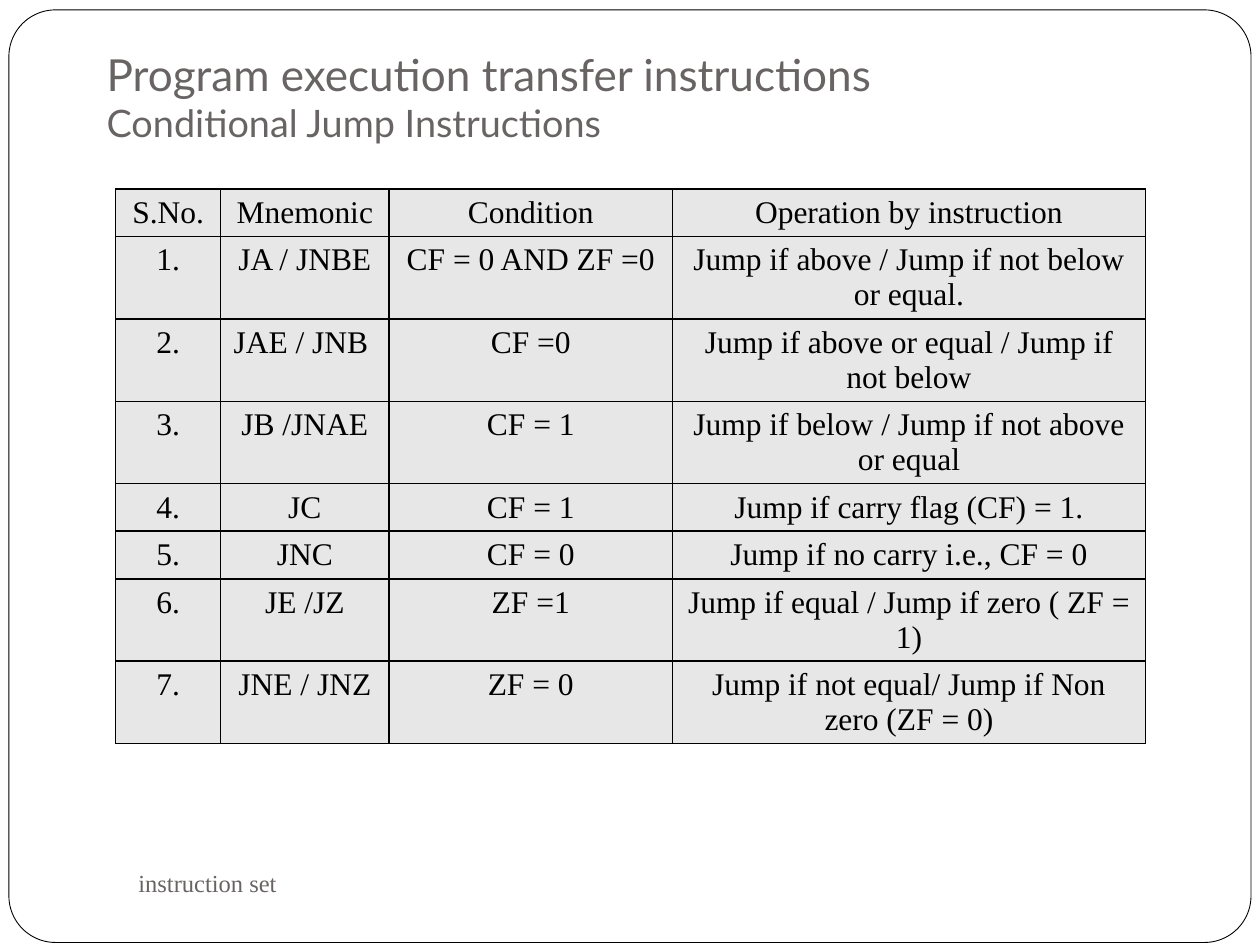
import dataclasses

import lxml.etree
import pptx
import pptx.dml.color
import pptx.enum.shapes
import pptx.enum.text
import pptx.oxml.ns
import pptx.util

Cm = pptx.util.Cm
Pt = pptx.util.Pt
Anchor = pptx.enum.text.MSO_ANCHOR
Align = pptx.enum.text.PP_ALIGN


@dataclasses.dataclass(frozen=True)
class Theme:
    """Hold the colours, fonts and type sizes of the slide."""

    paper: str = "FFFFFF"
    ink: str = "000000"
    muted: str = "696464"
    cell: str = "E7E7E7"
    heading_font: str = "Lato"
    body_font: str = "Times New Roman"
    title_size: float = 25.2
    subtitle_size: float = 21.6
    table_size: float = 18
    footer_size: float = 14


THEME = Theme()
COLUMN_WIDTHS = (2.12, 3.39, 5.72, 9.53)
ONE_LINE, TWO_LINES = 0.95, 1.66
JUMPS = (
    (ONE_LINE, "S.No.", "Mnemonic", "Condition", "Operation by instruction"),
    (TWO_LINES, "1.", "JA / JNBE", "CF = 0 AND ZF =0", "Jump if above / Jump if not below or equal."),
    (TWO_LINES, "2.", "JAE / JNB ", "CF =0", "Jump if above or equal / Jump if not below"),
    (TWO_LINES, "3.", "JB /JNAE", "CF = 1", "Jump if below / Jump if not above or equal"),
    (ONE_LINE, "4.", "JC", "CF = 1", "Jump if carry flag (CF) = 1."),
    (ONE_LINE, "5.", "JNC", "CF = 0", "Jump if no carry i.e., CF = 0"),
    (TWO_LINES, "6.", "JE /JZ", "ZF =1", "Jump if equal / Jump if zero ( ZF = 1)"),
    (TWO_LINES, "7.", "JNE / JNZ", "ZF = 0", "Jump if not equal/ Jump if Non zero (ZF = 0)"),
)


def rgb(value):
    """Turn a hex string into a colour."""
    return pptx.dml.color.RGBColor.from_string(value)


def apply(target, values):
    """Set every attribute given in a dict of format values."""
    for name, value in values.items():
        setattr(target, name, value)


def add_run(paragraph, text, font, size, colour):
    """Append a formatted run to a paragraph."""
    run = paragraph.add_run()
    run.text = text
    apply(run.font, {"name": font, "size": Pt(size)})
    run.font.color.rgb = rgb(colour)


def fill_title(title):
    """Place the title placeholder and write its two lines."""
    apply(title, {"left": Cm(1.9), "top": Cm(1.06), "width": Cm(21.6), "height": Cm(2.12)})
    apply(title.text_frame, {
        "vertical_anchor": Anchor.BOTTOM,
        "word_wrap": True,
        "auto_size": pptx.enum.text.MSO_AUTO_SIZE.NONE,
        "margin_left": Cm(0.25),
        "margin_right": Cm(0.25),
        "margin_top": Cm(0.13),
        "margin_bottom": Cm(0.25),
    })
    heading = title.text_frame.paragraphs[0]
    heading.alignment = Align.LEFT
    add_run(heading, "Program execution transfer instructions",
            THEME.heading_font, THEME.title_size, THEME.muted)
    heading.add_line_break()
    add_run(heading, "Conditional Jump Instructions",
            THEME.heading_font, THEME.subtitle_size, THEME.muted)


def add_frame(slide):
    """Draw the rounded page frame behind the title."""
    frame = slide.shapes.add_shape(
        pptx.enum.shapes.MSO_SHAPE.ROUNDED_RECTANGLE, Cm(0.18), Cm(0.2), Cm(25.04), Cm(18.8))
    frame.adjustments[0] = 0.05
    frame.shadow.inherit = False
    frame.fill.solid()
    frame.fill.fore_color.rgb = rgb(THEME.paper)
    frame.line.color.rgb = rgb(THEME.ink)
    frame.line.width = Pt(0.5)
    slide.shapes.title.element.addprevious(frame.element)


def add_borders(cell):
    """Give a cell a thin line on all four sides."""
    qn = pptx.oxml.ns.qn
    properties = cell._tc.get_or_add_tcPr()
    for position, side in enumerate(("a:lnL", "a:lnR", "a:lnT", "a:lnB")):
        border = lxml.etree.Element(qn(side), w=str(Pt(1)))
        solid = lxml.etree.SubElement(border, qn("a:solidFill"))
        lxml.etree.SubElement(solid, qn("a:srgbClr"), val=THEME.ink)
        properties.insert(position, border)


def fill_cell(cell, text):
    """Write and format one table cell."""
    cell.fill.solid()
    cell.fill.fore_color.rgb = rgb(THEME.cell)
    add_borders(cell)
    entry = cell.text_frame.paragraphs[0]
    entry.alignment = Align.CENTER
    add_run(entry, text, THEME.body_font, THEME.table_size, THEME.ink)


def add_jump_table(slide):
    """Add the table of conditional jumps."""
    heights = [row[0] for row in JUMPS]
    jumps = slide.shapes.add_table(
        len(JUMPS), len(COLUMN_WIDTHS), Cm(2.33), Cm(3.81),
        Cm(sum(COLUMN_WIDTHS)), Cm(sum(heights))).table
    apply(jumps, {"first_row": False, "horz_banding": False})
    for column, width in zip(jumps.columns, COLUMN_WIDTHS):
        column.width = Cm(width)
    for row, (height, *entries) in zip(jumps.rows, JUMPS):
        row.height = Cm(height)
        for cell, text in zip(row.cells, entries):
            fill_cell(cell, text)


def add_footer(slide):
    """Add the footer text."""
    footer = slide.shapes.add_textbox(Cm(2.54), Cm(17.15), Cm(11), Cm(1.27)).text_frame
    apply(footer, {"word_wrap": True, "vertical_anchor": Anchor.MIDDLE})
    add_run(footer.paragraphs[0], "instruction set",
            THEME.body_font, THEME.footer_size, THEME.muted)


def main():
    """Build the slide and save it."""
    deck = pptx.Presentation()
    apply(deck, {"slide_width": Cm(25.4), "slide_height": Cm(19.05)})
    slide = deck.slides.add_slide(deck.slide_layouts.get_by_name("Title Only"))
    fill_title(slide.shapes.title)
    add_frame(slide)
    add_jump_table(slide)
    add_footer(slide)
    deck.save("out.pptx")


main()
